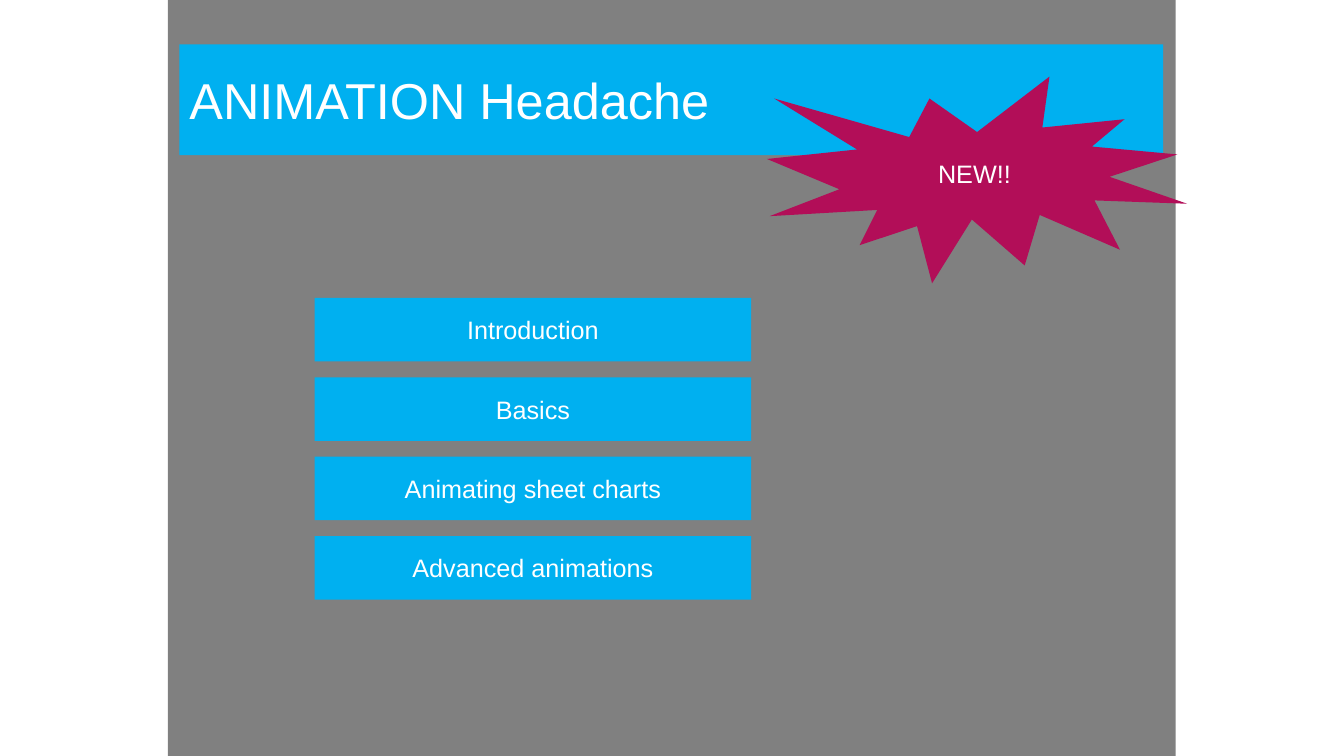
import pptx
import pptx.dml.color
import pptx.enum.shapes
import pptx.enum.text
import pptx.util

GREY = pptx.dml.color.RGBColor(0x80, 0x80, 0x80)
BLUE = pptx.dml.color.RGBColor(0x00, 0xB0, 0xF0)
CRIMSON = pptx.dml.color.RGBColor(0xB2, 0x0E, 0x58)
WHITE = pptx.dml.color.RGBColor(0xFF, 0xFF, 0xFF)

SHAPES = pptx.enum.shapes.MSO_SHAPE
ALIGN = pptx.enum.text.PP_ALIGN


def add_filled_shape(kind, left, top, width, height, color):
    place = [pptx.util.Cm(length) for length in (left, top, width, height)]
    shape = slide.shapes.add_shape(kind, *place)
    shape.shadow.inherit = False
    shape.fill.solid()
    shape.fill.fore_color.rgb = color
    shape.line.fill.background()
    return shape


def write_text(shape, text, size, alignment):
    frame = shape.text_frame
    frame.text = text
    frame_format = {
        "word_wrap": True,
        "auto_size": pptx.enum.text.MSO_AUTO_SIZE.NONE,
        "vertical_anchor": pptx.enum.text.MSO_ANCHOR.MIDDLE,
    }
    for name, value in frame_format.items():
        setattr(frame, name, value)
    paragraph = frame.paragraphs[0]
    paragraph.alignment = alignment
    font = paragraph.runs[0].font
    for name, value in {"name": "Arial", "size": pptx.util.Pt(size)}.items():
        setattr(font, name, value)
    font.color.rgb = WHITE


presentation = pptx.Presentation()
presentation.slide_width = pptx.util.Cm(33.87)
presentation.slide_height = pptx.util.Cm(19.05)
slide = presentation.slides.add_slide(presentation.slide_layouts.get_by_name("Title Only"))

# Grey panel behind everything
add_filled_shape(SHAPES.RECTANGLE, 4.23, 0, 25.4, 19.05, GREY)

# Title bar, raised above the panel
title = slide.shapes.title
title_place = {"left": 4.52, "top": 1.12, "width": 24.79, "height": 2.79}
for name, value in title_place.items():
    setattr(title, name, pptx.util.Cm(value))
title.fill.solid()
title.fill.fore_color.rgb = BLUE
write_text(title, "ANIMATION Headache", 36, ALIGN.LEFT)
slide.shapes._spTree.append(title._element)

# Starburst
burst = add_filled_shape(SHAPES.EXPLOSION1, 19.33, 1.93, 10.59, 5.21, CRIMSON)
write_text(burst, "NEW!!", 18, ALIGN.CENTER)

# Menu buttons
topics = ["Introduction", "Basics", "Animating sheet charts", "Advanced animations"]
for index, topic in enumerate(topics):
    button = add_filled_shape(SHAPES.RECTANGLE, 7.93, 7.51 + 2 * index, 11, 1.6, BLUE)
    write_text(button, topic, 18, ALIGN.CENTER)

presentation.save("out.pptx")
